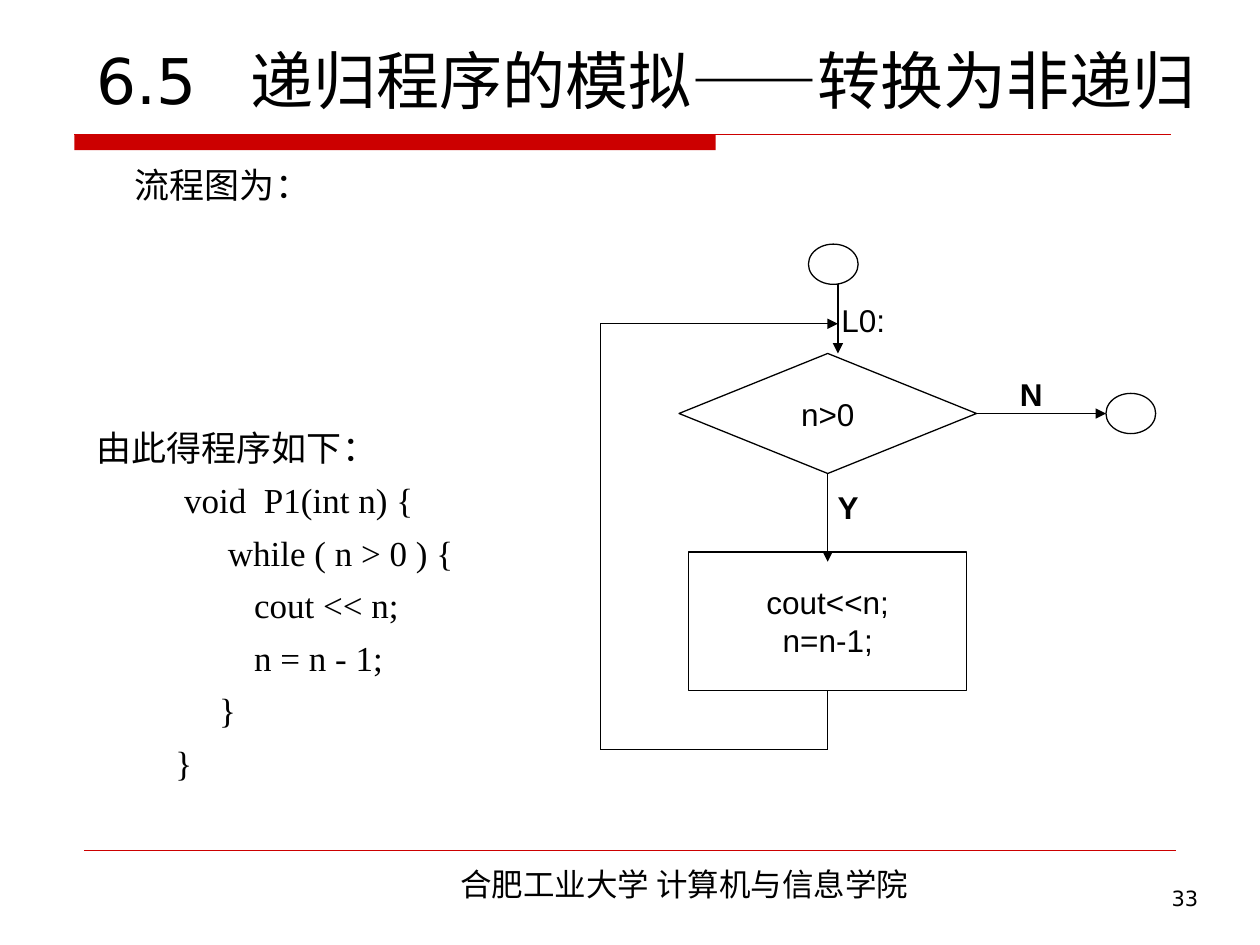
from dataclasses import dataclass
from typing import Optional

from lxml.etree import SubElement
from pptx import Presentation
from pptx.dml.color import RGBColor
from pptx.enum.shapes import MSO_CONNECTOR as Connector, MSO_SHAPE as Preset
from pptx.enum.text import MSO_ANCHOR as Anchor, PP_ALIGN as Align
from pptx.oxml.ns import qn
from pptx.util import Pt

COLORS = {"text": "000000", "accent": "CC0000"}
CJK = "Noto Sans CJK SC"
SANS = "DejaVu Sans"
ARIAL = "Arial"
SERIF = "Times New Roman"


@dataclass
class Box:
    left: float
    top: float
    width: float
    height: float


@dataclass
class Style:
    size: float
    font: str
    bold: bool = False
    align: Align = Align.LEFT
    anchor: Anchor = Anchor.TOP
    wrap: bool = True
    before: float = 0


@dataclass
class Node:
    preset: Preset
    box: Box
    lines: tuple[str, ...] = ()


@dataclass
class Line:
    start: tuple[float, float]
    end: tuple[float, float]
    arrow: bool = False
    color: str = "text"
    weight: float = 0.75
    source: Optional[str] = None
    site: int = 2


def color(name: str) -> RGBColor:
    return RGBColor.from_string(COLORS[name])


def write(frame, lines: tuple[str, ...], style: Style, tab: float = 0) -> None:
    frame.word_wrap = style.wrap
    frame.vertical_anchor = style.anchor
    for index, text in enumerate(lines):
        para = frame.paragraphs[0] if index == 0 else frame.add_paragraph()
        para.alignment = style.align
        if index:
            para.space_before = Pt(style.before)
        if tab:
            stops = SubElement(para._p.get_or_add_pPr(), qn("a:tabLst"))
            SubElement(stops, qn("a:tab"), pos=str(Pt(tab)), algn="l")
        span = para.add_run()
        span.text = text
        span.font.size = Pt(style.size)
        span.font.name = style.font
        span.font.bold = style.bold
        span.font.color.rgb = color("text")
        SubElement(span._r.get_or_add_rPr(), qn("a:ea"), typeface=CJK)


def add_text(page, box: Box, lines: tuple[str, ...], style: Style, tab: float = 0) -> None:
    shape = page.shapes.add_textbox(Pt(box.left), Pt(box.top), Pt(box.width), Pt(box.height))
    write(shape.text_frame, lines, style, tab)


def add_node(page, node: Node):
    box = node.box
    shape = page.shapes.add_shape(node.preset, Pt(box.left), Pt(box.top), Pt(box.width), Pt(box.height))
    shape.shadow.inherit = False
    shape.fill.background()
    shape.line.color.rgb = color("text")
    shape.line.width = Pt(0.75)
    if node.lines:
        write(shape.text_frame, node.lines, LABEL)
    return shape


def add_bar(page, box: Box) -> None:
    shape = page.shapes.add_shape(Preset.RECTANGLE, Pt(box.left), Pt(box.top), Pt(box.width), Pt(box.height))
    shape.shadow.inherit = False
    shape.fill.solid()
    shape.fill.fore_color.rgb = color("accent")
    shape.line.fill.background()


def add_line(page, line: Line, shapes: dict) -> None:
    connector = page.shapes.add_connector(Connector.STRAIGHT, *map(Pt, line.start + line.end))
    connector.line.color.rgb = color(line.color)
    connector.line.width = Pt(line.weight)
    if line.arrow:
        SubElement(connector.line._get_or_add_ln(), qn("a:tailEnd"), type="triangle")
    SubElement(connector._element.spPr, qn("a:effectLst"))
    if line.source:
        connector.begin_connect(shapes[line.source], line.site)


LABEL = Style(18, ARIAL, align=Align.CENTER, anchor=Anchor.MIDDLE, wrap=False)
BRANCH = Style(18, ARIAL, bold=True, align=Align.CENTER, anchor=Anchor.MIDDLE, wrap=False)
BODY = Style(20, SERIF, before=6)
PROGRAM = (
    "由此得程序如下：",
    "          void  P1(int n) {",
    "               while ( n > 0 ) {",
    "                  cout << n;",
    "                  n = n - 1;",
    "              }",
    "         }",
)
AXIS, ENTRY, LOOP_LEFT, LOOP_TOP, LOOP_BOTTOM, TEST_Y = 473, 478.8, 343, 185, 428.5, 236.3
NODES = {
    "start": Node(Preset.OVAL, Box(462, 139.5, 28.4, 23)),
    "test": Node(Preset.FLOWCHART_DECISION, Box(AXIS - 85, TEST_Y - 34.3, 170, 68.6), ("n>0",)),
    "step": Node(Preset.RECTANGLE, Box(AXIS - 79.5, 315.4, 159, 79), ("cout<<n;", "n=n-1;")),
    "finish": Node(Preset.OVAL, Box(632, TEST_Y - 11.5, 28.4, 23)),
}
LINES = (
    Line((42.5, 77), (669, 77), color="accent"),
    Line((48, 486), (672, 486), color="accent", weight=0.25),
    Line((ENTRY, 162), (ENTRY, 202), arrow=True),
    Line((AXIS, 270.6), (AXIS, 321), arrow=True, source="test"),
    Line((AXIS, 394.4), (AXIS, LOOP_BOTTOM), source="step"),
    Line((AXIS, LOOP_BOTTOM), (LOOP_LEFT, LOOP_BOTTOM)),
    Line((LOOP_LEFT, LOOP_BOTTOM), (LOOP_LEFT, LOOP_TOP)),
    Line((LOOP_LEFT, LOOP_TOP), (ENTRY, LOOP_TOP), arrow=True),
    Line((558, TEST_Y), (632, TEST_Y), arrow=True, source="test", site=3),
)


def main() -> None:
    deck = Presentation()
    deck.slide_width, deck.slide_height = Pt(720), Pt(540)
    page = deck.slides.add_slide(deck.slide_layouts[6])

    add_bar(page, Box(42.5, 77, 366.5, 8.8))
    add_text(page, Box(48.2, 0, 655, 70.6), ("6.5\t递归程序的模拟——转换为非递归",),
             Style(36, SANS, anchor=Anchor.BOTTOM), tab=88)
    add_text(page, Box(70, 90, 200, 36), ("流程图为：",), BODY)
    add_text(page, Box(48.2, 240, 280, 216), PROGRAM, BODY)

    shapes = {name: add_node(page, node) for name, node in NODES.items()}
    for line in LINES:
        add_line(page, line, shapes)

    add_text(page, Box(462, 157, 62.6, 51), ("L0:",), LABEL)
    add_text(page, Box(569.5, 202.3, 39.6, 45.4), ("N",), BRANCH)
    add_text(page, Box(462, 270, 45.4, 39.6), ("Y",), BRANCH)
    add_text(page, Box(172.8, 491, 436.3, 29), ("合肥工业大学 计算机与信息学院",),
             Style(18, CJK, align=Align.CENTER))
    add_text(page, Box(535.7, 502.6, 156.2, 37.4), ("33",), Style(12, SANS, align=Align.RIGHT))
    deck.save("out.pptx")


if __name__ == "__main__":
    main()
